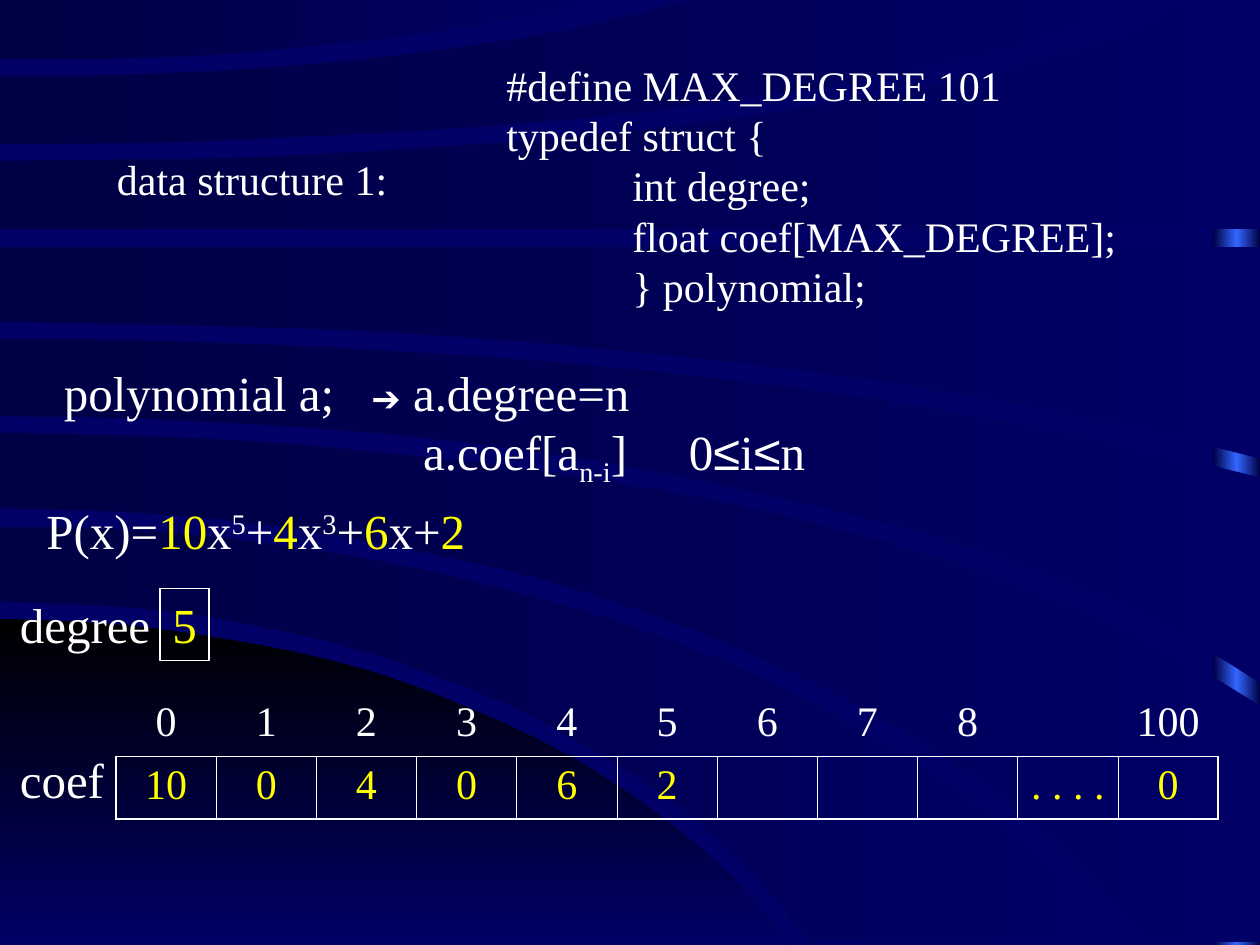
from copy import deepcopy
from dataclasses import dataclass

from lxml import etree
from pptx import Presentation
from pptx.dml.color import RGBColor
from pptx.enum.shapes import MSO_SHAPE
from pptx.enum.text import MSO_ANCHOR, MSO_AUTO_SIZE, PP_ALIGN
from pptx.oxml.ns import qn
from pptx.util import Inches, Pt

RECT = MSO_SHAPE.RECTANGLE
TOP = MSO_ANCHOR.TOP
FIXED = MSO_AUTO_SIZE.NONE
LEFT, CENTER = PP_ALIGN.LEFT, PP_ALIGN.CENTER
PLAIN_TABLE = "{2D5ABB26-0587-4C30-8999-92F81FD0307C}"


@dataclass(frozen=True)
class Theme:
    back: str = "000066"
    deep: str = "000044"
    black: str = "000000"
    glow: str = "3366FF"
    text: str = "FFFFFF"
    value: str = "FFFF00"
    font: str = "Times New Roman"
    symbol: str = "Arial"
    code: int = 24
    large: int = 28
    arrow: int = 20
    thin: float = 0.45
    thick: float = 1.08


T = Theme()
VALUE = {"color": T.value}
SYMBOL = {"name": T.symbol}
POWER = {"base": 30}
INDEX = {"base": -25}

CORNER = [
    [(0, 4.91), (0.86, 4.95), (1.65, 5.05), (2.49, 5.21), (3.27, 5.44), (4.25, 5.86),
     (4.95, 6.27), (5.53, 6.71), (5.96, 7.13), (6.28, 7.5)],
    [(0, 7.5)],
]
SWOOSHES = [
    [[(0, 4.18), (0.87, 4.2), (1.66, 4.26), (2.49, 4.37), (3.35, 4.52), (4.28, 4.75),
      (5.15, 5.02), (6.06, 5.39), (6.87, 5.81), (7.66, 6.3), (8.33, 6.85), (8.93, 7.48)],
     [(6.42, 7.48), (6.04, 7), (5.53, 6.51), (4.92, 6.08), (4.16, 5.65), (3.42, 5.35),
      (2.68, 5.11), (1.85, 4.93), (1.05, 4.82), (0, 4.77)]],
    [[(0, 3.44), (0.97, 3.46), (1.95, 3.5), (2.89, 3.58), (3.84, 3.68), (4.74, 3.81),
      (5.7, 3.98), (6.56, 4.18), (7.38, 4.4), (8.18, 4.68), (9.04, 5.03), (10, 5.6)],
     [(10, 7.48)],
     [(9.09, 7.48), (8.62, 6.94), (8.1, 6.46), (7.56, 6.06), (6.78, 5.58), (5.97, 5.19),
      (5.21, 4.89), (4.42, 4.63), (3.6, 4.43), (2.67, 4.25), (1.83, 4.13), (0.97, 4.06),
      (0, 4.03)]],
    [[(0, 2.69), (0.89, 2.7), (2.19, 2.74), (3.49, 2.81), (4.79, 2.91), (6.16, 3.06),
      (7.14, 3.2), (8.16, 3.38), (9.05, 3.56), (10, 3.79)],
     [(10, 5.42), (9.51, 5.12), (8.81, 4.77), (7.82, 4.39), (6.83, 4.1), (5.6, 3.82),
      (4.62, 3.64), (3.51, 3.49), (2.55, 3.4), (1.09, 3.32), (0, 3.3)]],
    [[(0, 1.96)], [(10, 1.96)],
     [(10, 3.64), (9.15, 3.43), (8.13, 3.22), (7.02, 3.03), (6.07, 2.9), (5.02, 2.79),
      (3.89, 2.69), (2.78, 2.62), (1.47, 2.58), (0, 2.55)]],
    [[(0, 1.28), (0.93, 1.27), (2.03, 1.25), (3.29, 1.18), (4.65, 1.08), (5.97, 0.92),
      (7.34, 0.7), (8.35, 0.44), (8.92, 0.25), (9.43, -0.02)],
     [(10, -0.02)], [(10, 1.82)], [(0, 1.82)]],
    [[(0, 0.61), (0.87, 0.6), (1.97, 0.55), (3.08, 0.45), (4.16, 0.3), (4.82, 0.17),
      (5.56, -0.02)],
     [(9.17, -0.02), (8.54, 0.23), (7.72, 0.46), (6.83, 0.64), (5.77, 0.8), (4.69, 0.93),
      (3.41, 1.03), (2.26, 1.09), (1.26, 1.13), (0, 1.14)]],
    [[(0, -0.02)], [(5.01, -0.02)],
     [(4.52, 0.08), (3.46, 0.25), (2.53, 0.36), (1.73, 0.43), (1.01, 0.46), (0, 0.47)]],
]


def rgb(value):
    return RGBColor.from_string(value)


def smooth(knots, steps=4):
    padded = [knots[0], *knots, knots[-1]]
    curve = [knots[0]]
    for quad in zip(padded, padded[1:], padded[2:], padded[3:]):
        for i in range(1, steps + 1):
            t = i / steps
            curve.append(tuple(
                (2 * b + (c - a) * t + (2 * a - 5 * b + 4 * c - d) * t ** 2
                 + (3 * b - a - 3 * c + d) * t ** 3) / 2
                for a, b, c, d in zip(*quad)))
    return curve


def paint_gradient(sp, colors, angle):
    sp.shadow.inherit = False
    sp.line.fill.background()
    sp.fill.gradient()
    sp.fill.gradient_angle = angle
    stops = sp.fill._fill._gradFill.gsLst
    while len(stops) < len(colors):
        stops.append(deepcopy(stops[0]))
    for i, (stop, color) in enumerate(zip(sp.fill.gradient_stops, colors)):
        stop.color.rgb = rgb(color)
        stop.position = i / (len(colors) - 1)


def add_swoosh(s, edges, colors, angle):
    points = [(Inches(x), Inches(y)) for edge in edges for x, y in smooth(edge)]
    builder = s.shapes.build_freeform(*points[0])
    builder.add_line_segments(points[1:], close=True)
    paint_gradient(builder.convert_to_shape(), colors, angle)


def add_run(p, text, size, color=T.text, name=T.font, base=0):
    r = p.add_run()
    r.text = text
    for key, value in {"size": Pt(size), "name": name}.items():
        setattr(r.font, key, value)
    r.font.color.rgb = rgb(color)
    if base:
        r._r.get_or_add_rPr().set("baseline", str(base * 1000))


def set_tabs(p, stops):
    tabs = etree.SubElement(p._p.get_or_add_pPr(), qn("a:tabLst"))
    for stop in stops:
        etree.SubElement(tabs, qn("a:tab"), pos=str(Inches(stop)), algn="l")


def fill_text(sp, lines, size, gap=0, tabs=()):
    tf = sp.text_frame
    layout = {"word_wrap": True, "auto_size": FIXED, "vertical_anchor": TOP, "margin_right": 0}
    for key, value in layout.items():
        setattr(tf, key, value)
    for i, runs in enumerate(lines):
        p = tf.paragraphs[0] if i == 0 else tf.add_paragraph()
        p.alignment = LEFT
        if i and gap:
            p.space_before = Pt(gap)
        if tabs:
            set_tabs(p, tabs[i])
        for text, style in runs:
            add_run(p, text, **{"size": size, **style})


def add_text(s, box, lines, size, **layout):
    sp = s.shapes.add_textbox(*map(Inches, box))
    fill_text(sp, lines, size, **layout)


def add_value_box(s, box, text):
    sp = s.shapes.add_shape(RECT, *map(Inches, box))
    sp.shadow.inherit = False
    sp.fill.background()
    sp.line.color.rgb = rgb(T.text)
    sp.line.width = Pt(0.75)
    fill_text(sp, [[(text, VALUE)]], T.large)


def set_border(cell, side, width):
    ln = etree.SubElement(cell._tc.get_or_add_tcPr(), qn(f"a:ln{side}"), w=str(Pt(width)))
    fill = etree.SubElement(ln, qn("a:solidFill"))
    etree.SubElement(fill, qn("a:srgbClr"), val=T.text)


def add_coef_table(s, box, rows):
    last = len(rows[0]) - 1
    table = s.shapes.add_table(len(rows), last + 1, *map(Inches, box)).table
    table.first_row = table.horz_banding = False
    table._tbl.tblPr[0].text = PLAIN_TABLE
    for i, row in enumerate(rows):
        for j, text in enumerate(row):
            cell = table.cell(i, j)
            borders = {"B": T.thin} if i == 0 else {
                "L": T.thick if j == 0 else T.thin,
                "R": T.thick if j == last else T.thin,
                "T": T.thin, "B": T.thick}
            for side, width in borders.items():
                set_border(cell, side, width)
            cell.fill.background()
            if text:
                p = cell.text_frame.paragraphs[0]
                p.alignment, p.space_before = CENTER, Pt(6)
                add_run(p, text, T.code, T.value if i else T.text)


def main():
    prs = Presentation()
    prs.slide_width, prs.slide_height = Inches(10), Inches(7.5)
    s = prs.slides.add_slide(prs.slide_layouts[6])
    s.background.fill.solid()
    s.background.fill.fore_color.rgb = rgb(T.back)

    bar = s.shapes.add_shape(RECT, *map(Inches, (9.63, 0, 0.37, 7.5)))
    paint_gradient(bar, [T.deep, T.glow, T.deep], 180)
    add_swoosh(s, CORNER, [T.black, T.back], 270)
    for edges in SWOOSHES:
        add_swoosh(s, edges, [T.back, T.deep], 180)

    code = ["#define MAX_DEGREE 101", "typedef struct {", "\tint degree;",
            "\tfloat coef[MAX_DEGREE];", "\t} polynomial;"]
    add_text(s, (3.92, 0.42, 5.04, 2.1), [[(line, {})] for line in code], T.code,
             tabs=[(1,)] * len(code))
    add_text(s, (0.83, 1.17, 2.34, 0.5), [[("data structure 1:", {})]], T.code)

    indices = [*map(str, range(9)), "", "100"]
    values = ["10", "0", "4", "0", "6", "2", "", "", "", ". . . .", "0"]
    add_coef_table(s, (0.92, 5.5, 8.75, 1), [indices, values])
    add_text(s, (0.06, 4.67, 1.23, 1.84), [[("degree", {})], [("coef", {})]], T.large, gap=55)
    add_value_box(s, (1.27, 4.67, 0.39, 0.57), "5")

    add_text(s, (0.27, 3.92, 3.52, 0.57), [[
        ("P(x)=", {}), ("10", VALUE), ("x", {}), ("5", POWER), ("+", {}), ("4", VALUE),
        ("x", {}), ("3", POWER), ("+", {}), ("6", VALUE), ("x+", {}), ("2", VALUE)]], T.large)
    add_text(s, (0.41, 2.83, 6.46, 1.1), [
        [("polynomial a;\t", {}), ("➔", {**SYMBOL, "size": T.arrow}), (" a.degree=n", {})],
        [("\ta.coef[a", {}), ("n-i", INDEX), ("]\t0", {}), ("≤", SYMBOL), ("i", {}),
         ("≤", SYMBOL), ("n", {})]], T.large, tabs=[(2.44,), (2.85, 4.96)])
    prs.save("out.pptx")


if __name__ == "__main__":
    main()
